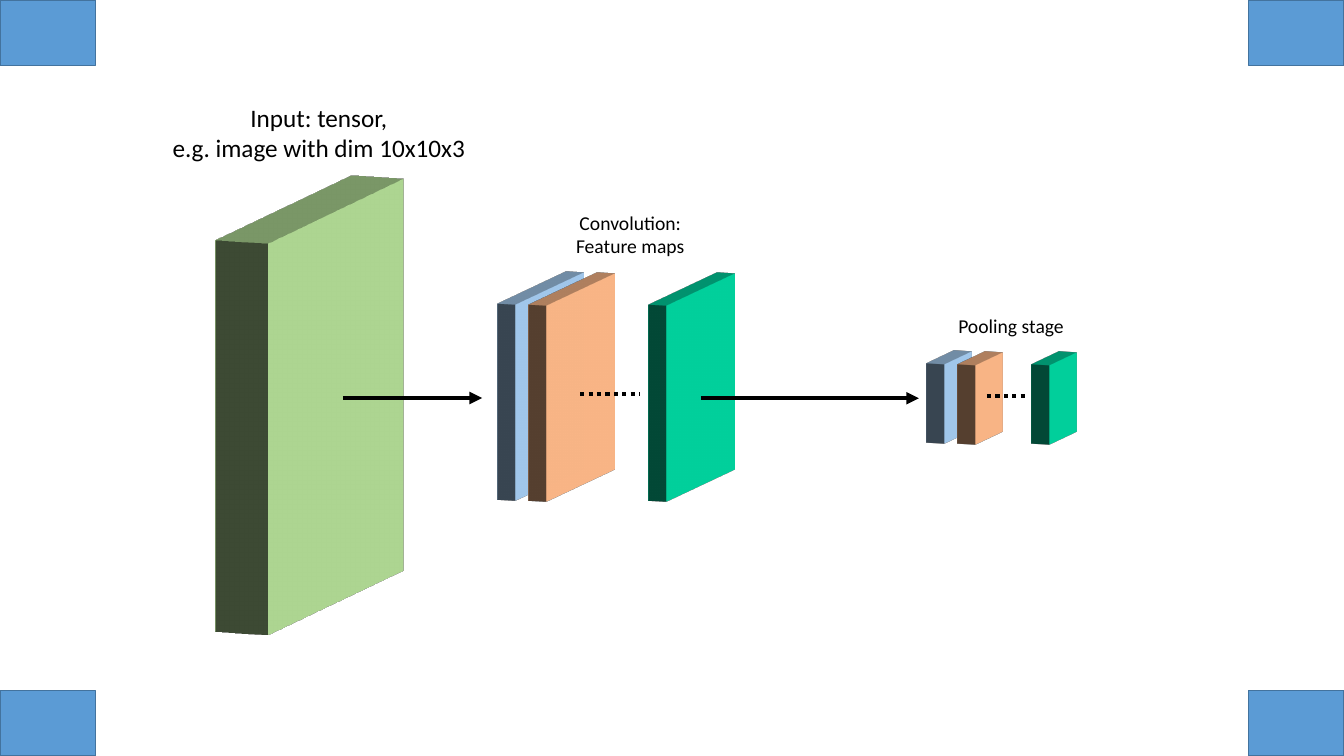
import pptx
import pptx.util
import pptx.dml.color
import pptx.enum.dml
import pptx.enum.shapes
import pptx.enum.text
import pptx.oxml
import lxml.etree

Pt = pptx.util.Pt
RGB = pptx.dml.color.RGBColor.from_string
qn = pptx.oxml.ns.qn

COLORS = {
    "black": "000000", "corner": "5B9BD5", "corner_line": "43739E",
    "green": "A9D18E", "blue": "9DC3E6", "orange": "F4B183", "teal": "00CC99",
}

prs = pptx.Presentation()
prs.slide_width, prs.slide_height = Pt(960), Pt(540)
s = prs.slides.add_slide(prs.slide_layouts[6])


def add_block(x, y, w, h, color):
    """Add a plain filled rectangle."""
    sp = s.shapes.add_shape(pptx.enum.shapes.MSO_SHAPE.RECTANGLE,
                            Pt(x), Pt(y), Pt(w), Pt(h))
    sp.shadow.inherit = False
    sp.fill.solid()
    sp.fill.fore_color.rgb = RGB(COLORS[color])
    return sp


def add_slab(x, y, size, depth, color):
    """Add a square turned 70 degrees sideways, tilted 10 and extruded."""
    sp = add_block(x, y, size, size, color)
    sp.line.fill.background()
    spPr = sp._element.spPr
    scene = lxml.etree.SubElement(spPr, qn("a:scene3d"))
    camera = lxml.etree.SubElement(scene, qn("a:camera"), prst="orthographicFront")
    lxml.etree.SubElement(camera, qn("a:rot"), lat="600000", lon="17400000", rev="0")
    lxml.etree.SubElement(scene, qn("a:lightRig"), rig="threePt", dir="t")
    lxml.etree.SubElement(spPr, qn("a:sp3d"), extrusionH=str(Pt(depth)))


# Corner blocks
for x in (0, 891.8):
    for y in (0, 493.3):
        sp = add_block(x, y, 68.2, 46.7, "corner")
        sp.line.color.rgb = RGB(COLORS["corner_line"])
        sp.line.width = Pt(1)

# Input tensor, feature maps and pooled maps
add_slab(98, 149, 283.6, 40, "green")
for size, y, lefts in ((142, 205.2, (321.2, 343.4, 429.1)),
                       (57, 255.6, (655.8, 677.8, 731))):
    for x, color, shift in zip(lefts, ("blue", "orange", "teal"), (0, 0.8, 0.8)):
        add_slab(x, y + shift, size, 13.6, color)

# Arrows between stages and dots between maps
for x1, x2, y, dotted in ((245, 344.3, 284.3, False), (414.4, 457.2, 281.4, True),
                          (500.6, 656.4, 284.5, False), (705, 733, 282.8, True)):
    cn = s.shapes.add_connector(pptx.enum.shapes.MSO_CONNECTOR.STRAIGHT,
                                Pt(x1), Pt(y), Pt(x2), Pt(y))
    cn.line.color.rgb = RGB(COLORS["black"])
    cn.line.width = Pt(3)
    if dotted:
        cn.line.dash_style = pptx.enum.dml.MSO_LINE.ROUND_DOT
    else:
        lxml.etree.SubElement(cn.line._get_or_add_ln(), qn("a:tailEnd"),
                              type="triangle")
    lxml.etree.SubElement(cn._element.spPr, qn("a:effectLst"))

# Stage labels: each paragraph is a list of lines
for x, y, h, size, paragraphs in (
    (114.8, 69.4, 51, 18, [["Input: tensor,"], ["e.g. image with dim 10x10x3"]]),
    (337.2, 147, 41, 14, [["Convolution:", "Feature maps"]]),
    (609.2, 220.6, 24.5, 14, [["Pooling stage"]]),
):
    tf = s.shapes.add_textbox(Pt(x), Pt(y), Pt(226), Pt(h)).text_frame
    tf.word_wrap = True
    tf.auto_size = pptx.enum.text.MSO_AUTO_SIZE.SHAPE_TO_FIT_TEXT
    for i, lines in enumerate(paragraphs):
        p = tf.add_paragraph() if i else tf.paragraphs[0]
        p.alignment = pptx.enum.text.PP_ALIGN.CENTER
        for j, line in enumerate(lines):
            if j:
                p.add_line_break()
            r = p.add_run()
            r.text = line
            r.font.name = "Calibri"
            r.font.size = Pt(size)
            r.font.color.rgb = RGB(COLORS["black"])

prs.save("out.pptx")
